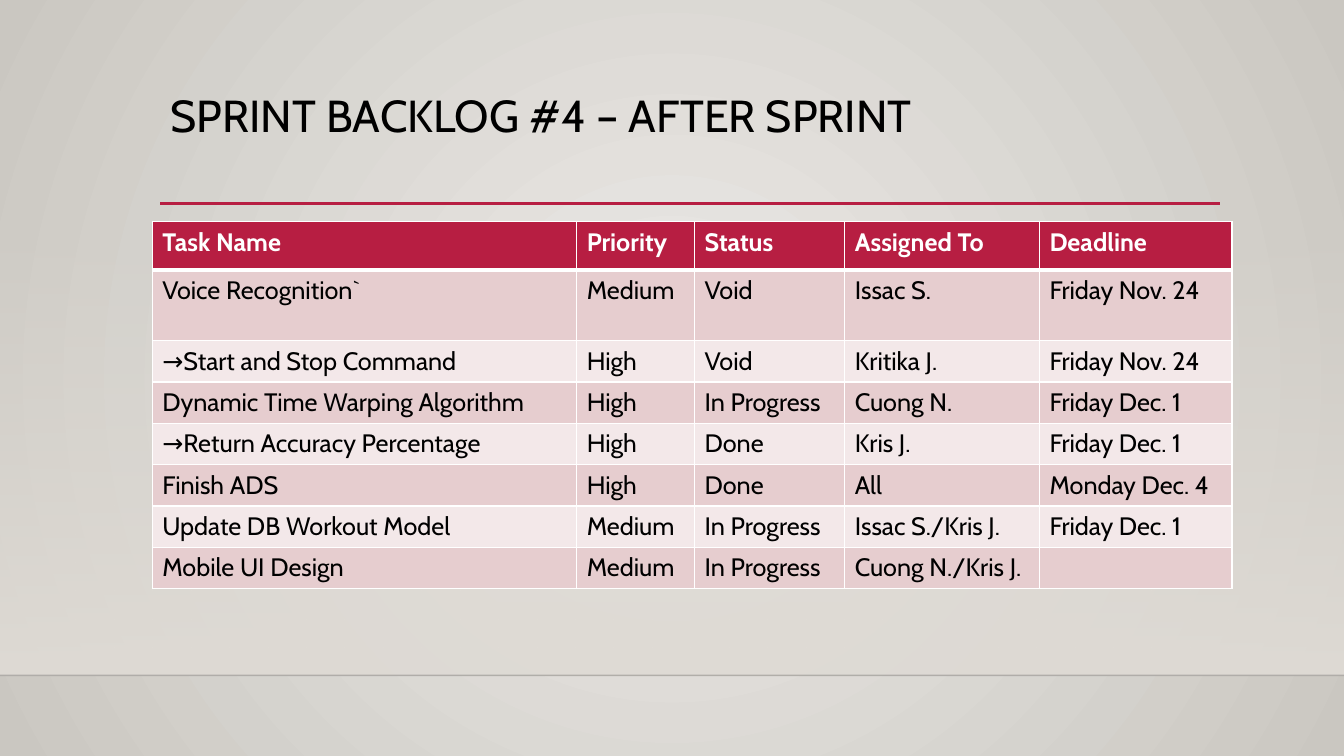
import pptx
import pptx.util
import pptx.dml.color
import pptx.enum.shapes
import pptx.enum.text
import pptx.oxml
import pptx.oxml.ns
import lxml.etree

TITLE = "SPRINT BACKLOG #4 – AFTER SPRINT"
BACKLOG = [
    ("Task Name", "Priority", "Status", "Assigned To", "Deadline"),
    ("Voice Recognition`", "Medium", "Void", "Issac S.", "Friday Nov. 24"),
    ("→Start and Stop Command", "High", "Void", "Kritika J.", "Friday Nov. 24"),
    ("Dynamic Time Warping Algorithm", "High", "In Progress", "Cuong N.", "Friday Dec. 1"),
    ("→Return Accuracy Percentage", "High", "Done", "Kris J.", "Friday Dec. 1"),
    ("Finish ADS", "High", "Done", "All", "Monday Dec. 4"),
    ("Update DB Workout Model", "Medium", "In Progress", "Issac S./Kris J.", "Friday Dec. 1"),
    ("Mobile UI Design", "Medium", "In Progress", "Cuong N./Kris J.", ""),
]
COL_WIDTHS = [4.21, 1.17, 1.49, 1.93, 1.91]
ROW_HEIGHTS = [0.48, 0.7] + [0.41] * 6
COLORS = {
    "accent": "B71E42", "odd": "E6CDCF", "even": "F3E8E9",
    "text": "000000", "white": "FFFFFF", "edge": "000001",
    "center": "ECEAE7", "rim": "CAC7C1", "wall": "DFDBD5",
}
FONT = "Cabin"
RADIAL = ('<a:path path="circle"><a:fillToRect l="50000" t="50000" '
          'r="50000" b="50000"/></a:path>')
DOWNWARD = '<a:lin ang="5400000" scaled="0"/>'

Inches = pptx.util.Inches
Pt = pptx.util.Pt
qn = pptx.oxml.ns.qn
NS = pptx.oxml.ns.nsdecls("a")


def rgb(name):
    return pptx.dml.color.RGBColor.from_string(COLORS[name])


def set_gradient(fill, element, start, end, direction, start_alpha=100):
    fill.gradient()
    old = element.find(".//" + qn("a:gradFill"))
    new = pptx.oxml.parse_xml(
        f'<a:gradFill {NS} rotWithShape="1"><a:gsLst>'
        f'<a:gs pos="0"><a:srgbClr val="{COLORS[start]}">'
        f'<a:alpha val="{start_alpha * 1000}"/></a:srgbClr></a:gs>'
        f'<a:gs pos="100000"><a:srgbClr val="{COLORS[end]}"/></a:gs>'
        f'</a:gsLst>{direction}</a:gradFill>')
    old.getparent().replace(old, new)


def add_rule(slide, x1, x2, y, color, width):
    line = slide.shapes.add_connector(
        pptx.enum.shapes.MSO_CONNECTOR.STRAIGHT,
        Inches(x1), Inches(y), Inches(x2), Inches(y))
    line.line.color.rgb = rgb(color)
    line.line.width = Pt(width)
    lxml.etree.SubElement(line.element.spPr, qn("a:effectLst"))
    return line


def style_font(font, size, color, bold=False):
    font.name = FONT
    font.size = Pt(size)
    font.bold = bold
    font.color.rgb = rgb(color)


def set_borders(cell, widths):
    tcPr = cell._tc.get_or_add_tcPr()
    for side, width in widths.items():
        tcPr.append(pptx.oxml.parse_xml(
            f'<a:ln{side} {NS} w="{Pt(width)}"><a:solidFill>'
            f'<a:srgbClr val="{COLORS["white"]}"/></a:solidFill></a:ln{side}>'))


def add_backlog(slide):
    table = slide.shapes.add_table(
        len(BACKLOG), len(COL_WIDTHS), Inches(1.51), Inches(2.2),
        Inches(sum(COL_WIDTHS)), Inches(sum(ROW_HEIGHTS))).table
    for column, width in zip(table.columns, COL_WIDTHS):
        column.width = Inches(width)
    for i, (row, height) in enumerate(zip(BACKLOG, ROW_HEIGHTS)):
        table.rows[i].height = Inches(height)
        header = i == 0
        fill = "accent" if header else "odd" if i % 2 else "even"
        for j, text in enumerate(row):
            cell = table.cell(i, j)
            set_borders(cell, {"L": 1, "R": 1, "T": 3 if i == 1 else 1, "B": 3 if header else 1})
            cell.fill.solid()
            cell.fill.fore_color.rgb = rgb(fill)
            cell.text_frame.text = text
            p = cell.text_frame.paragraphs[0]
            style_font(p.font, 18, "white" if header else "text", header)
            for r in p.runs:
                style_font(r.font, 18, "white" if header else "text", header)


def main():
    prs = pptx.Presentation()
    prs.slide_width, prs.slide_height = Inches(13.33), Inches(7.5)
    slide = prs.slides.add_slide(prs.slide_layouts[5])
    set_gradient(slide.background.fill, slide.element, "center", "rim", RADIAL)

    wall = slide.shapes.add_shape(
        pptx.enum.shapes.MSO_SHAPE.RECTANGLE, 0, Inches(2.21), Inches(13.33), Inches(4.49))
    wall.shadow.inherit = False
    wall.line.fill.background()
    set_gradient(wall.fill, wall.element.spPr, "wall", "wall", DOWNWARD, 0)

    floor = add_rule(slide, 0, 13.33, 6.7, "edge", 1)
    edge_color = floor.element.spPr.find(".//" + qn("a:srgbClr"))
    lxml.etree.SubElement(edge_color, qn("a:alpha"), val="20000")
    add_rule(slide, 1.59, 12.1, 2.02, "accent", 2.5)

    title = slide.shapes.title
    title.left, title.top = Inches(1.59), Inches(0.88)
    title.width, title.height = Inches(10.5), Inches(1.15)
    tf = title.text_frame
    tf.text = TITLE
    tf.word_wrap = True
    tf.vertical_anchor = pptx.enum.text.MSO_ANCHOR.TOP
    p = tf.paragraphs[0]
    p.alignment = pptx.enum.text.PP_ALIGN.LEFT
    p.line_spacing = 0.9
    style_font(p.runs[0].font, 32, "text")

    add_backlog(slide)
    prs.save("out.pptx")


if __name__ == "__main__":
    main()
